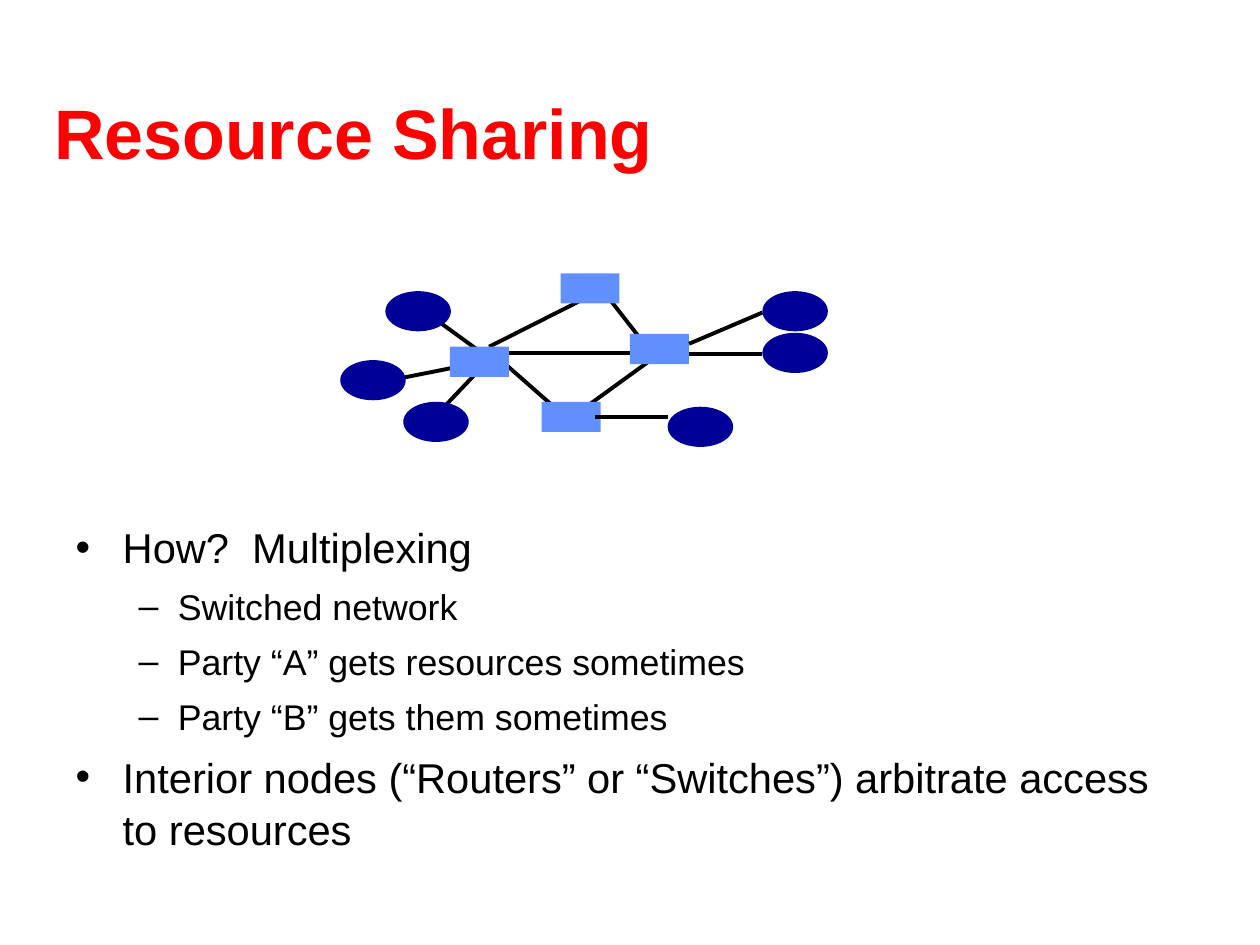
from lxml.etree import SubElement as Sub
from pptx import Presentation
from pptx.dml.color import RGBColor as Rgb
from pptx.enum.shapes import MSO_CONNECTOR as Link, MSO_SHAPE as Kind
from pptx.enum.text import MSO_ANCHOR as Anchor, MSO_AUTO_SIZE as Fit, PP_ALIGN as Align
from pptx.oxml.ns import qn
from pptx.util import Cm, Pt

HUES = {"title": "FF0000", "ink": "000000", "router": "618FFD", "host": "000099"}
FACE = "Arial"
TITLE = "Resource Sharing"
ITEMS = [
    (0, "How?  Multiplexing"),
    (1, "Switched network"),
    (1, "Party “A” gets resources sometimes"),
    (1, "Party “B” gets them sometimes"),
    (0, "Interior nodes (“Routers” or “Switches”) arbitrate access to resources"),
]
# Per level: bullet, text size, space before, left margin, hanging indent
LEVELS = [("•", 23.8, 7, 0.95, 0.95), ("–", 20.4, 6, 2.06, 0.79)]

# All places are in centimetres
LINKS_BACK = [
    (15.37, 7.14, 13.89, 7.14),
    (8.84, 6.48, 9.68, 7.09),
    (9.96, 7.14, 8.71, 8.46),
    (9.96, 7.14, 11.46, 8.46),
    (13.08, 7.11, 10.13, 7.11),
    (13.28, 7.14, 11.46, 8.46),
    (9.86, 6.99, 12.14, 5.84),
    (9.91, 7.26, 7.59, 7.72),
    (12.14, 5.84, 13.13, 7.11),
]
LINKS_FRONT = [(13.46, 8.41, 11.99, 8.41), (15.37, 6.3, 13.89, 6.93)]
ROUTERS = [(9.07, 6.99), (10.92, 8.1), (12.7, 6.73), (11.3, 5.51)]
HOSTS = [(13.46, 8.2), (15.37, 5.87), (15.37, 6.71),
         (8.13, 8.1), (6.86, 7.26), (7.77, 5.87)]
NODES = [("router", Kind.RECTANGLE, (1.19, 0.61), ROUTERS),
         ("host", Kind.OVAL, (1.32, 0.81), HOSTS)]


def color(name):
    return Rgb.from_string(HUES[name])


def place(shape, left, top, width, height):
    shape.left, shape.top = Cm(left), Cm(top)
    shape.width, shape.height = Cm(width), Cm(height)


def style(font, size, hue, bold=False):
    font.name, font.size, font.bold = FACE, Pt(size), bold
    font.color.rgb = color(hue)


def add_title(slide):
    title = slide.shapes.title
    place(title, 0.84, 1.07, 24.33, 3.18)
    frame = title.text_frame
    frame.text = TITLE
    frame.auto_size = Fit.NONE
    frame.vertical_anchor = Anchor.MIDDLE
    para = frame.paragraphs[0]
    para.alignment = Align.LEFT
    style(para.font, 40, "title", True)


def add_bullet(para, mark, left, hang):
    props = para._p.get_or_add_pPr()
    props.set("marL", str(Cm(left)))
    props.set("indent", str(-Cm(hang)))
    tint = Sub(props, qn("a:buClr"))
    Sub(tint, qn("a:srgbClr")).set("val", HUES["ink"])
    Sub(props, qn("a:buChar")).set("char", mark)


def add_list(slide):
    body = slide.placeholders[1]
    place(body, 1.27, 10.36, 22.86, 6.65)
    frame = body.text_frame
    frame.text = "\n".join(text for _, text in ITEMS)
    frame.auto_size = Fit.NONE
    for para, (level, _) in zip(frame.paragraphs, ITEMS):
        mark, size, gap, left, hang = LEVELS[level]
        para.level = level
        para.line_spacing = 1.04
        para.space_before = Pt(gap)
        add_bullet(para, mark, left, hang)
        style(para.font, size, "ink")


def add_links(slide, links):
    for ends in links:
        link = slide.shapes.add_connector(Link.STRAIGHT, *map(Cm, ends))
        link.line.color.rgb = color("ink")
        link.line.width = Pt(2.25)
        Sub(link._element.spPr, qn("a:effectLst"))


def add_nodes(slide):
    for hue, kind, size, spots in NODES:
        for spot in spots:
            node = slide.shapes.add_shape(kind, *map(Cm, spot + size))
            node.shadow.inherit = False
            node.fill.solid()
            node.fill.fore_color.rgb = color(hue)
            node.line.fill.background()


def main():
    deck = Presentation()
    deck.slide_width, deck.slide_height = Cm(25.4), Cm(19.05)
    slide = deck.slides.add_slide(deck.slide_layouts[1])
    add_title(slide)
    add_list(slide)
    add_links(slide, LINKS_BACK)
    add_nodes(slide)
    add_links(slide, LINKS_FRONT)
    deck.save("out.pptx")


if __name__ == "__main__":
    main()
